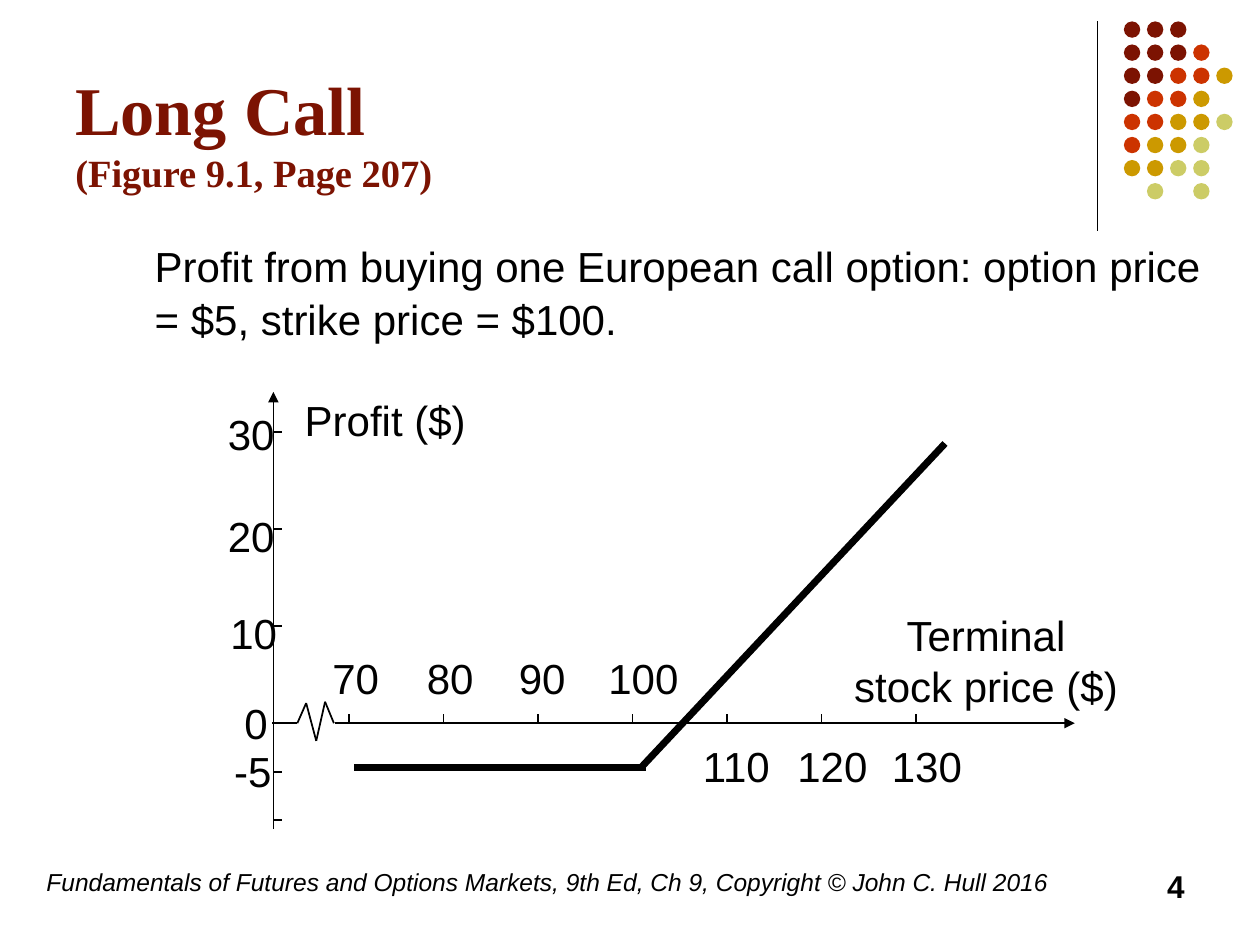
from lxml import etree
from pptx import Presentation
from pptx.dml.color import RGBColor
from pptx.enum.shapes import MSO_CONNECTOR, MSO_SHAPE
from pptx.enum.text import MSO_ANCHOR, PP_ALIGN
from pptx.oxml.ns import qn
from pptx.util import Inches, Pt

STRAIGHT = MSO_CONNECTOR.STRAIGHT
OVAL = MSO_SHAPE.OVAL
TOP, MIDDLE = MSO_ANCHOR.TOP, MSO_ANCHOR.MIDDLE
LEFT, CENTER, RIGHT = PP_ALIGN.LEFT, PP_ALIGN.CENTER, PP_ALIGN.RIGHT

BLACK = RGBColor(0x00, 0x00, 0x00)
MAROON = RGBColor(0x7C, 0x13, 0x02)
RED = RGBColor(0xCC, 0x33, 0x00)
GOLD = RGBColor(0xCC, 0x99, 0x00)
OLIVE = RGBColor(0xCC, 0xCC, 0x66)

# Dot pattern: one letter a dot, one string a row
DOT_COLORS = {"M": MAROON, "R": RED, "G": GOLD, "O": OLIVE}
DOT_ROWS = ["MMM", "MMMR", "MMRRG", "MRRG", "RRGGO", "RGGO", "GGOO", " O O"]
DOT_LEFT, DOT_TOP, DOT_SIZE, DOT_STEP = 8.92, 0.17, 0.13, 0.55 / 3

# Diagram axes
AXIS_X, AXIS_Y = 2.17, 5.74
FIRST_PRICE, FIRST_TICK = 70, 2.77
PRICE_STEP, PROFIT_STEP = 0.075, 0.077
TICK = 0.07
LABEL_HEIGHT = 0.5
LABEL_WIDTHS = {1: 0.38, 2: 0.57, 3: 0.76}  # by number of characters
PRICE_LABELS = {70: (2.54, 5.13), 80: (3.29, 5.13), 90: (4.02, 5.13),
                100: (4.73, 5.13), 110: (5.48, 5.83), 120: (6.23, 5.83),
                130: (6.98, 5.83)}
PROFIT_LABELS = {30: (1.71, 3.19), 20: (1.71, 4), 10: (1.73, 4.77),
                 0: (1.84, 5.49), -5: (1.76, 5.87)}
AXIS_BREAK = [(2.16, 5.74), (2.36, 5.74), (2.43, 5.58), (2.51, 5.88),
              (2.58, 5.57), (2.65, 5.74)]


def price_x(price):
    return FIRST_TICK + (price - FIRST_PRICE) * PRICE_STEP


def profit_y(profit):
    return AXIS_Y - profit * PROFIT_STEP


def add_text(page, text, left, top, width, height, size=24, font="Arial",
             color=BLACK, bold=False, italic=False, align=LEFT, anchor=TOP,
             wrap=True):
    """Add a text box; each line of the text is a paragraph."""
    box = page.shapes.add_textbox(Inches(left), Inches(top),
                                  Inches(width), Inches(height))
    frame = box.text_frame
    frame.word_wrap = wrap
    frame.vertical_anchor = anchor
    frame.text = text
    for para in frame.paragraphs:
        para.alignment = align
        for span in para.runs:
            span.font.size = Pt(size)
            span.font.name = font
            span.font.bold = bold
            span.font.italic = italic
            span.font.color.rgb = color
    return box


def add_line(page, start, end, width=1, arrow=False):
    line = page.shapes.add_connector(STRAIGHT, *map(Inches, start + end))
    line.line.color.rgb = BLACK
    line.line.width = Pt(width)
    if arrow:
        etree.SubElement(line.line._get_or_add_ln(), qn("a:tailEnd"), type="triangle")
    etree.SubElement(line._element.spPr, qn("a:effectLst"))


def add_dot(page, column, row, color):
    dot = page.shapes.add_shape(
        OVAL, Inches(DOT_LEFT + column * DOT_STEP), Inches(DOT_TOP + row * DOT_STEP),
        Inches(DOT_SIZE), Inches(DOT_SIZE))
    dot.shadow.inherit = False
    dot.fill.solid()
    dot.fill.fore_color.rgb = color
    dot.line.fill.background()


def add_decoration(page):
    add_line(page, (8.71, 0.17), (8.71, 1.83), width=0.75)
    for row, letters in enumerate(DOT_ROWS):
        for column, letter in enumerate(letters):
            if letter in DOT_COLORS:
                add_dot(page, column, row, DOT_COLORS[letter])


def add_headings(page):
    # The title has a smaller second line
    title = add_text(page, "Long Call\v(Figure 9.1, Page 207)", 0.5, 0.33, 8.83, 1.42,
                     size=39, font="Times New Roman", color=MAROON, bold=True,
                     anchor=MIDDLE)
    title.text_frame.paragraphs[0].runs[1].font.size = Pt(22)

    # The statement hangs after a larger leading tab
    body = add_text(page, "", 0.75, 1.75, 8.94, 1.1)
    para = body.text_frame.paragraphs[0]
    props = para._p.get_or_add_pPr()
    props.set("marL", str(Inches(0.38)))
    props.set("indent", str(Inches(-0.38)))
    statement = ("Profit from buying one European call option: "
                 "option price = $5, strike price = $100.")
    for text, size in (("\t", 32), (statement, 24)):
        span = para.add_run()
        span.text = text
        span.font.size = Pt(size)
        span.font.name = "Arial"
        span.font.color.rgb = BLACK


def add_axes(page):
    add_line(page, (AXIS_X, 6.58), (AXIS_X, 3.11), arrow=True)
    add_line(page, (2.66, AXIS_Y), (8.53, AXIS_Y), arrow=True)
    for start, end in zip(AXIS_BREAK, AXIS_BREAK[1:]):
        add_line(page, start, end)

    # Ticks
    for profit in (30, 20, 10, -5, -10):
        y = profit_y(profit)
        add_line(page, (AXIS_X, y), (AXIS_X + TICK, y))
    for price in PRICE_LABELS:
        x = price_x(price)
        add_line(page, (x, AXIS_Y - TICK), (x, AXIS_Y))

    # Tick labels
    for labels in (PROFIT_LABELS, PRICE_LABELS):
        for value, (left, top) in labels.items():
            text = str(value)
            add_text(page, text, left, top, LABEL_WIDTHS[len(text)],
                     LABEL_HEIGHT, wrap=False)

    # Axis titles
    add_text(page, "Profit ($)", 2.32, 3.08, 1.48, LABEL_HEIGHT, wrap=False)
    add_text(page, "Terminal\nstock price ($)", 6.68, 4.79, 2.29, 0.9,
             align=CENTER, wrap=False)


def add_payoff(page):
    loss = 6.09
    add_line(page, (2.81, loss), (5.13, loss), width=4)
    add_line(page, (5.08, loss + 0.01), (7.5, 3.52), width=4)


def add_footer(page):
    add_text(page, "Fundamentals of Futures and Options Markets, 9th Ed, Ch 9, "
             "Copyright © John C. Hull 2016", 0.27, 6.83, 8.27, 0.5,
             size=14, italic=True)
    add_text(page, "4", 7.17, 6.83, 2.33, 0.5, size=18, bold=True, align=RIGHT)


def main():
    deck = Presentation()
    deck.slide_width, deck.slide_height = Inches(10), Inches(7.5)
    page = deck.slides.add_slide(deck.slide_layouts[6])
    add_decoration(page)
    add_headings(page)
    add_axes(page)
    add_payoff(page)
    add_footer(page)
    deck.save("out.pptx")


if __name__ == "__main__":
    main()
